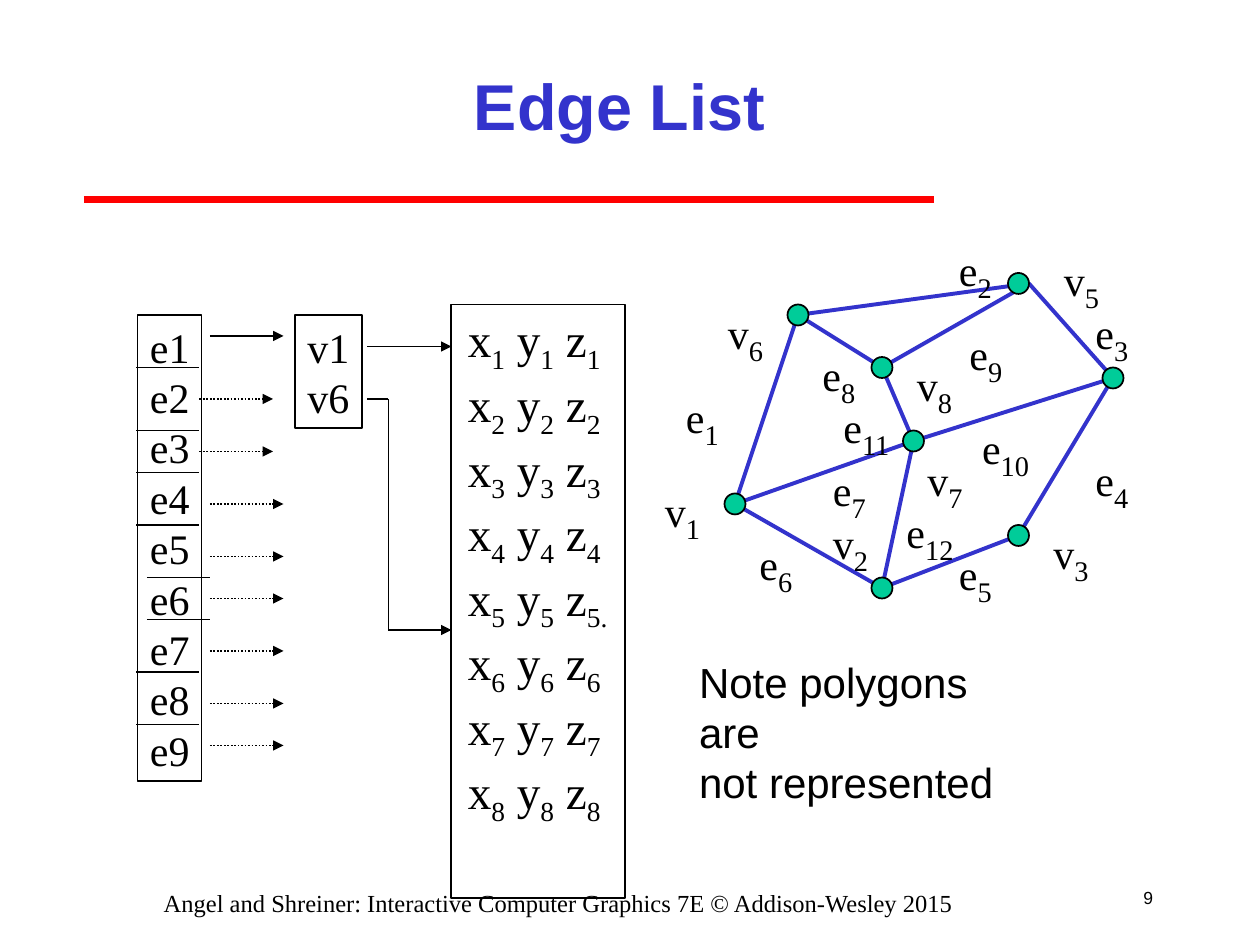
"""Build the Edge List slide on a grid of twelfths of an inch."""
from lxml import etree
from pptx import Presentation
from pptx.dml.color import RGBColor
from pptx.enum.dml import MSO_LINE
from pptx.enum.shapes import MSO_CONNECTOR, MSO_SHAPE
from pptx.enum.text import MSO_ANCHOR, MSO_AUTO_SIZE, PP_ALIGN
from pptx.oxml.ns import qn
from pptx.util import Cm, Pt

STRAIGHT = MSO_CONNECTOR.STRAIGHT
DOTTED = MSO_LINE.ROUND_DOT
OVAL, RECT = MSO_SHAPE.OVAL, MSO_SHAPE.RECTANGLE
LEFT, CENTER, RIGHT = PP_ALIGN.LEFT, PP_ALIGN.CENTER, PP_ALIGN.RIGHT
TOP, MIDDLE = MSO_ANCHOR.TOP, MSO_ANCHOR.MIDDLE
GROW = MSO_AUTO_SIZE.SHAPE_TO_FIT_TEXT

COLORS = {"black": "000000", "blue": "3333CC", "red": "FF0000", "green": "00CC99"}
SANS, SERIF = "Arial", "Times New Roman"
UNIT = 2.54 / 12

TITLE = "Edge List"
NOTE = ["Note polygons are", "not represented"]
FOOTER = "Angel and Shreiner: Interactive Computer Graphics 7E © Addison-Wesley 2015"
NUMBER = "9"

NODES = {"v1": (70, 48), "v6": (76, 30), "v7": (87, 42), "v2": (84, 56),
         "v3": (97, 51), "v8": (84, 35), "v4": (106, 36), "v5": (97, 27)}
CORNER = (98, 27)
RING = ["v1", "v6", "v5", "v4", "v3", "v2"]
INNER = [("v1", "v7"), ("v7", "v2"), ("v7", "v4"), ("v7", "v8"), ("v8", "v5"), ("v8", "v6")]
LABELS = [
    ("v|1", 62, 45), ("v|2", 78, 48), ("v|7", 87, 42), ("v|6", 68, 28),
    ("v|8", 86, 33), ("v|5", 100, 23), ("v|3", 99, 49), ("e|1", 64, 36),
    ("e|8", 77, 32), ("e|3", 103, 28), ("e|2", 90, 22), ("e|11", 79, 37),
    ("e|6", 71, 50), ("e|7", 78, 43), ("e|10", 92.2, 39), ("e|5", 90, 51),
    ("e|4", 103, 42), ("e|9", 91, 30), ("e|12", 85, 47),
]
EDGES = [f"e{n}" for n in range(1, 10)]
ENDS = ["v1", "v6"]
POINTS = [f"x|{n}| y|{n}| z|{n}" + ("." if n == 5 else "") for n in range(1, 9)]
RULES = [(13, 35), (13, 41), (13, 45), (13, 50), (14, 55), (14, 59), (13, 64), (13, 69)]
DOTS = [(19, 38), (19, 43), (20, 48), (20, 53), (20, 57), (20, 62), (20, 67), (20, 71)]
LINKS = [((20, 32), (27, 32), True), ((35, 33), (43, 33), True), ((35, 38), (37, 38), False),
         ((37, 38), (37, 60), False), ((37, 60), (43, 60), True)]


def grid(*nums):
    return [Cm(n * UNIT) for n in nums]


def color(name):
    return RGBColor.from_string(COLORS[name])


def stroke(line, name="black", width=1):
    line.color.rgb = color(name)
    line.width = Pt(width)


def link(start, end, name="black", width=1, head=False, dash=None):
    line = slide.shapes.add_connector(STRAIGHT, *grid(*start, *end))
    stroke(line.line, name, width)
    if dash:
        line.line.dash_style = dash
    props = line._element.spPr
    if head:
        etree.SubElement(props.find(qn("a:ln")), qn("a:tailEnd"), type="triangle")
    etree.SubElement(props, qn("a:effectLst"))


def write(shape, rows, size, face=SERIF, ink="black", align=LEFT, anchor=TOP,
          wrap=False, grow=False, bold=False, sub=None, inset=0.25):
    frame = shape.text_frame
    frame.word_wrap = wrap
    frame.vertical_anchor = anchor
    frame.margin_left = Cm(inset)
    if grow:
        frame.auto_size = GROW
    for i, row in enumerate(rows):
        para = frame.paragraphs[0] if i == 0 else frame.add_paragraph()
        para.alignment = align
        font = para.font
        font.name, font.size, font.bold = face, Pt(size), bold
        font.color.rgb = color(ink)
        for j, part in enumerate(row.split("|")):
            run = para.add_run()
            run.text = part
            if j % 2:
                run._r.get_or_add_rPr().set("baseline", "-25000")
                if sub:
                    run.font.size = Pt(sub)


def text(spot, rows, size, **style):
    write(slide.shapes.add_textbox(*grid(*spot)), rows, size, **style)


def frame(spot, rows, size, **style):
    box = slide.shapes.add_shape(RECT, *grid(*spot))
    box.shadow.inherit = False
    box.fill.background()
    stroke(box.line)
    write(box, rows, size, **style)


def graph():
    spots = [tuple(grid(*(CORNER if n == "v5" else NODES[n]))) for n in RING]
    pen = slide.shapes.build_freeform(*spots[0])
    pen.add_line_segments(spots[1:], close=True)
    ring = pen.convert_to_shape()
    ring.shadow.inherit = False
    ring.fill.background()
    stroke(ring.line, "blue", 2.25)
    for a, b in INNER:
        link(NODES[a], CORNER if b == "v5" else NODES[b], "blue", 2.25)
    for x, y in NODES.values():
        dot = slide.shapes.add_shape(OVAL, *grid(x - 1, y - 1, 2, 2))
        dot.shadow.inherit = False
        dot.fill.solid()
        dot.fill.fore_color.rgb = color("green")
        stroke(dot.line)
    for label, x, y in LABELS:
        wide = 6.9 if len(label) > 3 else 5.8 if label[0] == "v" else 5.6
        text((x + 0.15, y, wide, 7.6), [label], 24, sub=28, grow=True)


deck = Presentation()
deck.slide_width, deck.slide_height = grid(120, 90)
slide = deck.slides.add_slide(deck.slide_layouts[6])

link((8, 19), (89, 19), "red", 4)
text((106, 83, 5, 5), [NUMBER], 10, face=SANS, align=RIGHT, anchor=MIDDLE)
text((18, 3, 82, 14), [TITLE], 37, face=SANS, ink="blue", align=CENTER,
     anchor=MIDDLE, wrap=True, bold=True)
graph()
frame((13.1, 30, 6.1, 44.4), EDGES, 24)
for x, y in RULES:
    link((x, y), (x + 6, y))
frame((42.95, 29, 16.6, 56.5), POINTS, 27, wrap=True, inset=0.34)
frame((28.1, 30, 6.4, 10.8), ENDS, 24)
for x, y in DOTS:
    link((x, y), (x + 7, y), head=True, dash=DOTTED)
for start, end, head in LINKS:
    link(start, end, head=head)
text((65.4, 61.9, 34.8, 10.8), NOTE, 24, face=SANS, grow=True)
text((5.7, 84, 95, 4), [FOOTER], 14, align=CENTER, wrap=True)
deck.save("out.pptx")
